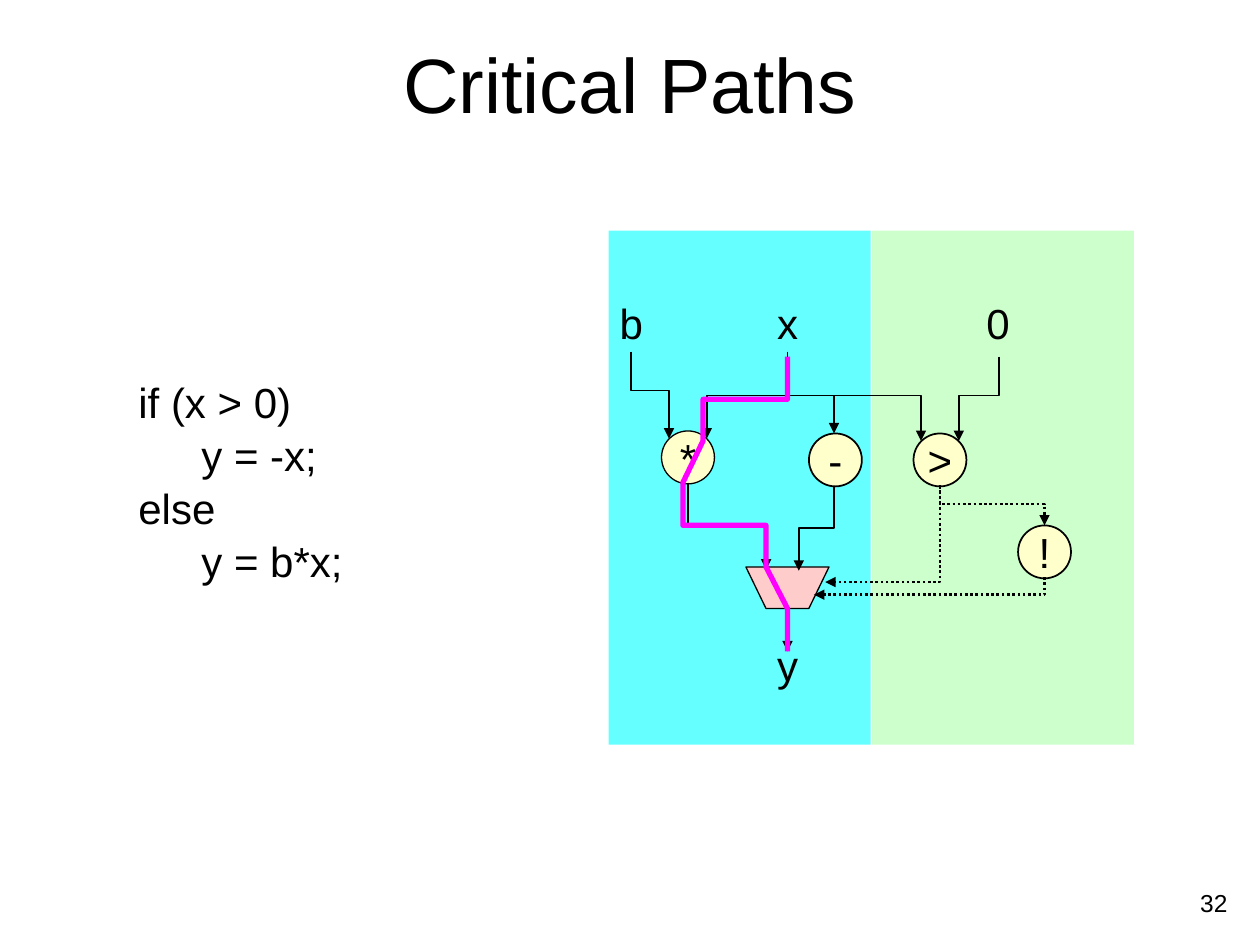
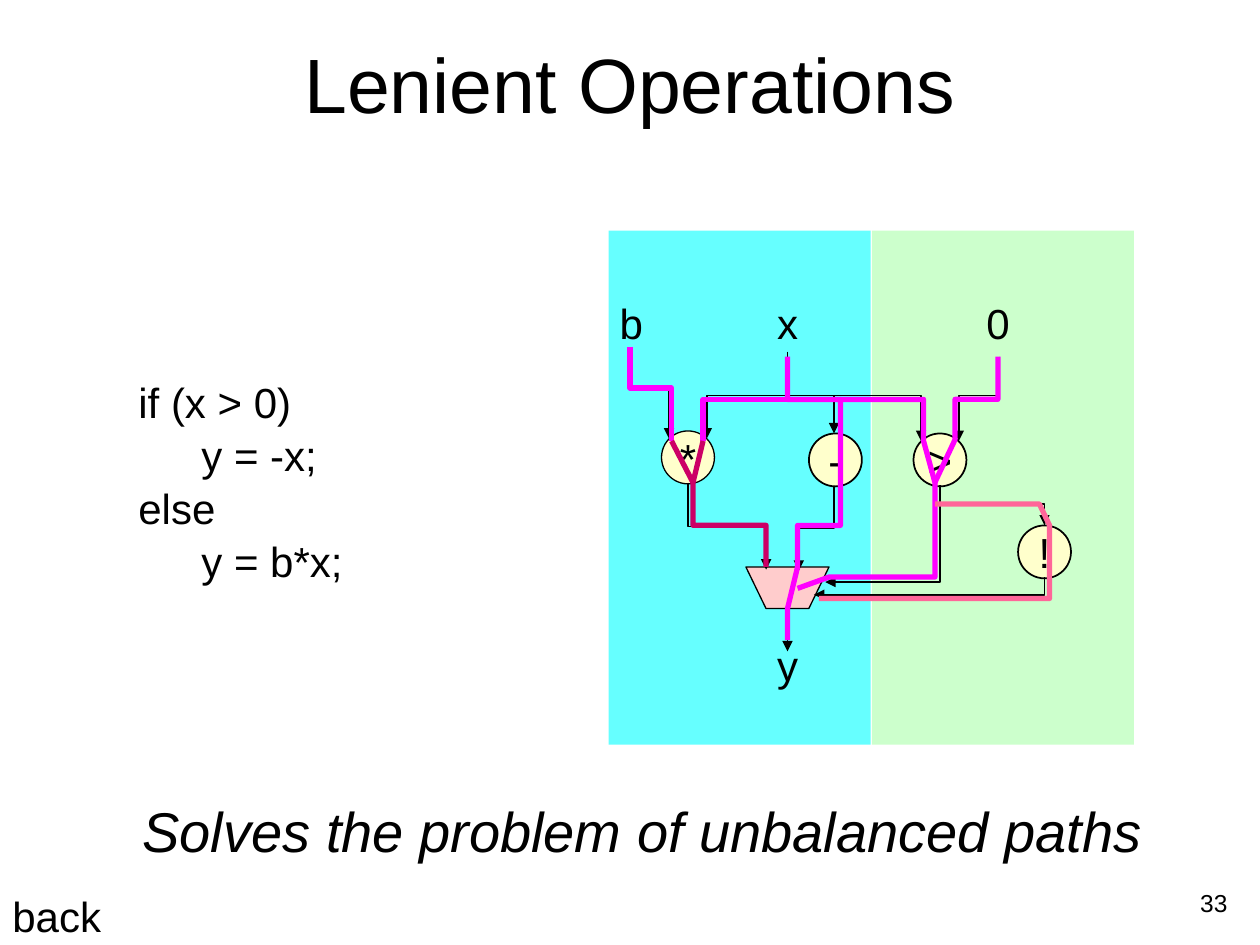
from lxml.etree import SubElement
from pptx import Presentation
from pptx.dml.color import RGBColor as RGB
from pptx.enum.dml import MSO_LINE as Dash
from pptx.enum.shapes import MSO_CONNECTOR as Link, MSO_SHAPE as Kind
from pptx.enum.text import MSO_ANCHOR as Anchor, MSO_AUTO_SIZE as Fit, PP_ALIGN as Align
from pptx.oxml.ns import qn
from pptx.util import Cm, Pt

BLACK = RGB(0x00, 0x00, 0x00)
CYAN = RGB(0x66, 0xFF, 0xFF)
GREEN = RGB(0xCC, 0xFF, 0xCC)
CREAM = RGB(0xFF, 0xFF, 0xCC)
PINK = RGB(0xFF, 0xCC, 0xCC)
HOT = RGB(0xFF, 0x00, 0xFF)
WINE = RGB(0xCC, 0x00, 0x66)
ROSE = RGB(0xFF, 0x66, 0x99)

FONT = "Arial"
CODE = "if (x > 0)\n\ty = -x;\nelse\n\ty = b*x;"
NODE = 0.42


def inch(value):
    return Cm(value * 2.54)


def write(frame, text, size=24, color=BLACK, align=Align.LEFT, italic=False,
          space=None, anchor=Anchor.TOP, wrap=False):
    frame.auto_size = Fit.NONE
    frame.word_wrap = wrap
    frame.vertical_anchor = anchor
    for i, line in enumerate(text.split("\n")):
        para = frame.paragraphs[0] if i == 0 else frame.add_paragraph()
        para.alignment = align
        if space:
            para.line_spacing = space
        run = para.add_run()
        run.text = line
        font = run.font
        font.name, font.size, font.italic = FONT, Pt(size), italic
        font.color.rgb = color


class Deck:
    def __init__(self):
        self.show = Presentation()
        self.show.slide_width, self.show.slide_height = inch(10), inch(7.5)
        self.slide = None

    def page(self, title, number):
        self.slide = self.show.slides.add_slide(self.show.slide_layouts[5])
        head = self.slide.shapes.title
        head.left, head.top = inch(0.75), inch(0.5)
        head.width, head.height = inch(8.5), inch(0.31)
        write(head.text_frame, title, size=44, align=Align.CENTER,
              anchor=Anchor.MIDDLE, wrap=True)
        self.label(number, 7.92, 7, 1.92, 0.5, size=14, align=Align.RIGHT, wrap=True)

    def label(self, text, x, y, w, h, **form):
        box = self.slide.shapes.add_textbox(*map(inch, (x, y, w, h)))
        write(box.text_frame, text, **form)
        return box

    def shape(self, kind, x, y, w, h, fill, line=None):
        item = self.slide.shapes.add_shape(kind, *map(inch, (x, y, w, h)))
        item.shadow.inherit = False
        item.fill.solid()
        item.fill.fore_color.rgb = fill
        if line:
            item.line.color.rgb, item.line.width = BLACK, Pt(line)
        else:
            item.line.fill.background()
        return item

    def node(self, text, x, y, line=1):
        item = self.shape(Kind.OVAL, x, y, NODE, NODE, CREAM, line)
        write(item.text_frame, text, align=Align.CENTER, anchor=Anchor.MIDDLE)

    def trace(self, points, color, width=3, fill=None):
        spots = [(inch(x), inch(y)) for x, y in points]
        form = self.slide.shapes.build_freeform(*spots[0])
        form.add_line_segments(spots[1:], close=fill is not None)
        item = form.convert_to_shape()
        item.shadow.inherit = False
        item.line.color.rgb, item.line.width = color, Pt(width)
        if fill:
            item.fill.solid()
            item.fill.fore_color.rgb = fill
        else:
            item.fill.background()

    def link(self, start, end, kind=Link.STRAIGHT, color=BLACK, width=1,
             dots=False, arrow=True):
        item = self.slide.shapes.add_connector(kind, *map(inch, (*start, *end)))
        item.line.color.rgb, item.line.width = color, Pt(width)
        if dots:
            item.line.dash_style = Dash.ROUND_DOT
        if arrow:
            SubElement(item.get_or_add_ln(), qn("a:tailEnd"), type="triangle")
        SubElement(item._element.spPr, qn("a:effectLst"))
        return item

    def elbow(self, start, end, bend=None, **form):
        (x1, y1), (x2, y2) = start, end
        mid_x, mid_y = (x1 + x2) / 2, (y1 + y2) / 2
        long, tall = (y2 - y1) / 2, abs(x2 - x1) / 2
        right = x2 > x1
        if right:
            long = -long
        item = self.link((mid_x - long, mid_y - tall), (mid_x + long, mid_y + tall),
                         Link.ELBOW, **form)
        props = item._element.spPr
        props.find(qn("a:xfrm")).set("rot", str((270 if right else 90) * 60000))
        geom = props.find(qn("a:prstGeom"))
        if bend is None:
            geom.set("prst", "bentConnector2")
        else:
            part = round((bend - y1) / (y2 - y1) * 100000)
            SubElement(geom.find(qn("a:avLst")), qn("a:gd"),
                       name="adj1", fmla=f"val {part}")

    def graph(self, test):
        for x, fill in ((4.83, CYAN), (6.92, GREEN)):
            self.shape(Kind.RECTANGLE, x, 1.83, 2.08, 4.08, fill)
        self.label(CODE, 1, 2.92, 2.32, 1.7, space=1.05)
        for text, x, w in (("b", 4.82, 0.38), ("x", 6.07, 0.36), ("0", 7.73, 0.38)):
            self.label(text, x, 2.29, w, 0.5, space=1.05)
        out = self.label("y", 6.07, 5.17, 0.36, 0.34, space=0.6)
        self.node("*", 5.25, 3.42, 0.75)
        self.node("-", 6.42, 3.44)
        self.node(">", 7.25, 3.44)
        self.node("!", 8.08, 4.17)
        self.trace([(5.92, 4.5), (6.58, 4.5), (6.42, 4.83), (6.08, 4.83)],
                   BLACK, 0.75, PINK)
        for start, end, bend in (
            ((6.25, 2.79), (5.61, 3.48), 3.14),
            ((5.01, 2.79), (5.31, 3.48), 3.1),
            ((6.25, 2.83), (6.62, 3.44), 3.14),
            ((6.25, 2.83), (7.31, 3.5), 3.14),
            ((7.93, 2.83), (7.61, 3.5), 3.14),
            ((5.46, 3.83), (6.08, 4.52), 4.18),
            ((6.62, 3.86), (6.34, 4.53), 4.19),
        ):
            self.elbow(start, end, bend)
        for start, end, bend in (
            ((7.46, 3.85), (8.29, 4.17), 4),
            ((8.29, 4.58), (6.46, 4.72), None),
            ((7.46, 3.86), (6.55, 4.62), None),
        ):
            self.elbow(start, end, bend, **test)
        self.link((6.25, 4.83), (6.25, 5.17), width=0.75).end_connect(out, 0)


def main():
    deck = Deck()

    deck.page("Critical Paths", "32")
    deck.graph(dict(width=1.5, dots=True))
    deck.trace([(6.25, 2.83), (6.25, 3.17), (5.58, 3.17), (5.58, 3.5), (5.42, 3.83),
                (5.42, 4.17), (6.08, 4.17), (6.08, 4.5), (6.25, 4.83), (6.25, 5.17)], HOT)

    deck.page("Lenient Operations", "33")
    deck.graph(dict(width=1))
    for color, points in (
        (HOT, [(6.25, 2.83), (6.25, 3.17), (6.67, 3.17), (6.67, 4.17),
               (6.33, 4.17), (6.33, 4.5), (6.25, 4.83), (6.25, 5.08)]),
        (HOT, [(6.67, 3.17), (7.33, 3.17), (7.33, 3.5), (7.42, 3.83),
               (7.42, 4.58), (6.58, 4.58), (6.33, 4.67)]),
        (HOT, [(7.92, 2.83), (7.92, 3.17), (7.58, 3.17), (7.58, 3.49), (7.42, 3.83)]),
        (HOT, [(5, 2.75), (5, 3.08), (5.33, 3.08), (5.33, 3.5)]),
        (HOT, [(6.25, 3.17), (5.58, 3.17), (5.58, 3.5)]),
        (WINE, [(5.58, 3.5), (5.5, 3.83), (5.5, 4.17), (6.08, 4.17), (6.08, 4.5)]),
        (ROSE, [(7.42, 4), (8.25, 4), (8.33, 4.17), (8.33, 4.75), (6.5, 4.75)]),
    ):
        deck.trace(points, color)
    deck.link((5.33, 3.5), (5.5, 3.83), color=WINE, width=3, arrow=False)
    deck.label(" Solves the problem of unbalanced paths", 0.91, 6.25, 8.26, 0.64,
               size=32, italic=True, space=1.05)
    deck.label("back", 0, 7, 0.9, 0.5, space=1.05)

    deck.show.save("out.pptx")


if __name__ == "__main__":
    main()
